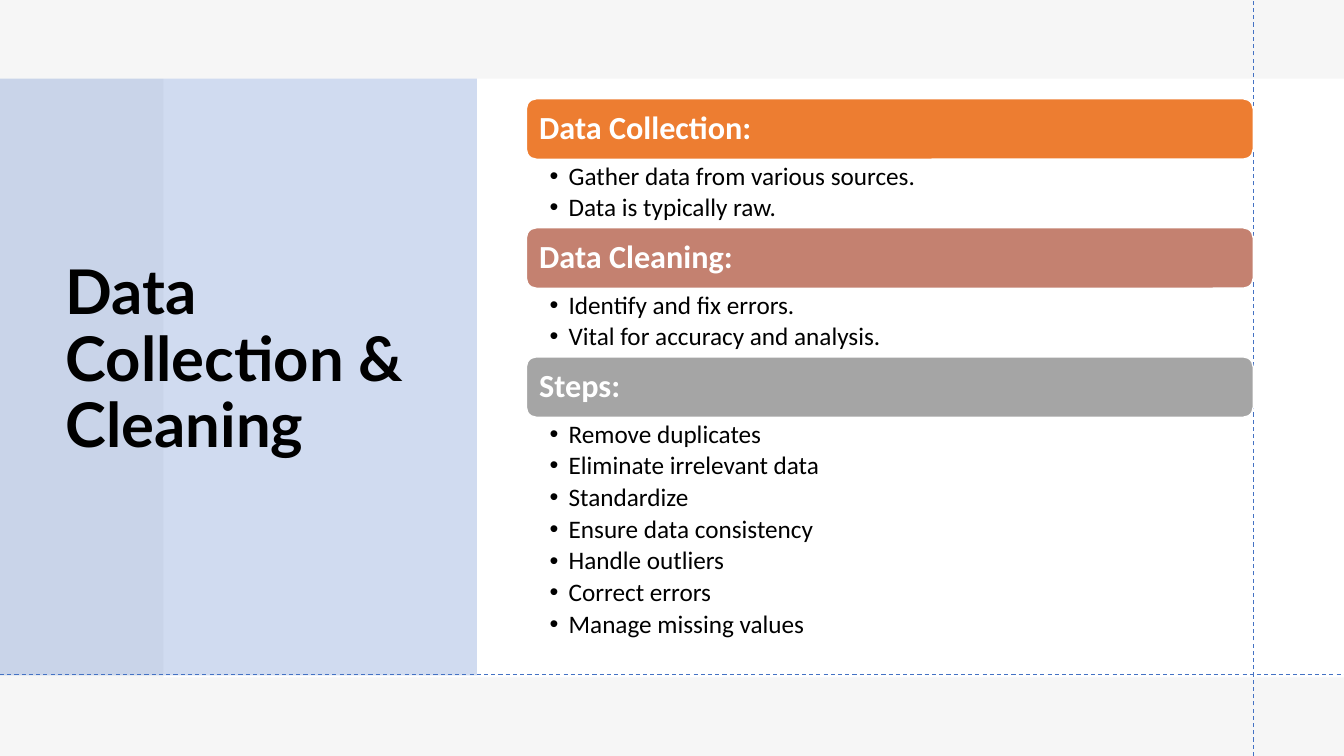
from pptx import Presentation
from pptx import util as u
from pptx.dml.color import RGBColor
from pptx.enum import dml, shapes, text
from pptx.oxml.ns import qn
from lxml import etree

# Content
TITLE = "Data Collection & Cleaning"
PARTS = [
    ("Data Collection:", "orange",
     ["Gather data from various sources.", "Data is typically raw."]),
    ("Data Cleaning:", "clay",
     ["Identify and fix errors.", "Vital for accuracy and analysis."]),
    ("Steps:", "gray",
     ["Remove duplicates", "Eliminate irrelevant data", "Standardize",
      "Ensure data consistency", "Handle outliers", "Correct errors",
      "Manage missing values"]),
]
HEX = {"white": "FFFFFF", "black": "000000", "mist": "E7E6E6",
       "back": "F6F6F6", "blue": "4472C4", "orange": "ED7D31",
       "clay": "C48170", "gray": "A5A5A5"}

# Measures in inches
WIDE, HIGH = 13.33, 7.5
LEFT, TOP, SPAN = 5.22, 0.98, 7.21
BAND, ROW, GAP = 0.6, 0.34, 0.01
RIGHT, BASE = LEFT + SPAN, 6.69

deck = Presentation()
deck.slide_width, deck.slide_height = u.Inches(WIDE), u.Inches(HIGH)
slide = deck.slides.add_slide(deck.slide_layouts[5])


def color(name):
    return RGBColor.from_string(HEX[name])


def place(*box):
    return [u.Inches(n) for n in box]


def block(kind, box, fill, alpha=None):
    shape = slide.shapes.add_shape(kind, *place(*box))
    shape.shadow.inherit = False
    shape.fill.solid()
    shape.fill.fore_color.rgb = color(fill)
    shape.line.fill.background()
    if alpha:
        tint = shape.element.spPr.find(qn("a:solidFill"))[0]
        etree.SubElement(tint, qn("a:alpha"), val=str(alpha * 1000))
    return shape


def frame(shape, pads, anchor):
    body = shape.text_frame
    body.word_wrap = True
    body.auto_size = text.MSO_AUTO_SIZE.NONE
    body.vertical_anchor = anchor
    (body.margin_left, body.margin_top,
     body.margin_right, body.margin_bottom) = place(*pads)
    return body


def write(para, words, size, font, ink, bold=False):
    para.alignment = text.PP_ALIGN.LEFT
    para.line_spacing = 0.9
    run = para.add_run()
    run.text = words
    run.font.size, run.font.name, run.font.bold = u.Pt(size), font, bold
    run.font.color.rgb = color(ink)


def bullet(para):
    props = para._p.get_or_add_pPr()
    props.set("marL", str(u.Inches(0.19)))
    props.set("indent", str(u.Inches(-0.19)))
    etree.SubElement(props, qn("a:buFont"), typeface="Arial")
    etree.SubElement(props, qn("a:buChar"), char="•")


def guide(*ends):
    line = slide.shapes.add_connector(
        shapes.MSO_CONNECTOR.STRAIGHT, *place(*ends))
    line.line.color.rgb = color("blue")
    line.line.width = u.Pt(0.75)
    line.line.dash_style = dml.MSO_LINE.DASH
    etree.SubElement(line.element.spPr, qn("a:effectLst"))


# Background and panels
slide.background.fill.solid()
slide.background.fill.fore_color.rgb = color("back")
RECT = shapes.MSO_SHAPE.RECTANGLE
for box, fill, alpha in [
    ((0, 0, WIDE, HIGH), "white", None),
    ((0, 0, WIDE, HIGH), "mist", 35),
    ((1.62, 0.78, WIDE - 1.62, 5.94), "white", None),
    ((0, 0.78, 4.73, 5.92), "blue", 25),
]:
    block(RECT, box, fill, alpha)

# Title, raised above the panels
title = slide.shapes.title
title.left, title.top, title.width, title.height = place(0.55, 0.74, 3.95, 5.69)
title.element.getparent().append(title.element)
body = frame(title, (0.1, 0.05, 0.1, 0.05), text.MSO_ANCHOR.MIDDLE)
write(body.paragraphs[0], TITLE, 44, "Lato", "black", True)

# Dashed guides
guide(RIGHT, HIGH, RIGHT, 0)
guide(0, BASE, WIDE, BASE)

# Headed lists, stacked
top = TOP
for head, fill, items in PARTS:
    band = block(shapes.MSO_SHAPE.ROUNDED_RECTANGLE,
                 (LEFT, top, SPAN, BAND), fill)
    band.line.color.rgb = color("white")
    band.line.width = u.Pt(1)
    body = frame(band, (0.1,) * 4, text.MSO_ANCHOR.MIDDLE)
    write(body.paragraphs[0], head, 23, "Calibri", "white", True)

    tall = ROW * len(items)
    area = slide.shapes.add_textbox(
        *place(LEFT, top + BAND + GAP, SPAN, tall))
    body = frame(area, (0.23, 0.03, 0.18, 0.03), text.MSO_ANCHOR.TOP)
    for i, item in enumerate(items):
        para = body.add_paragraph() if i else body.paragraphs[0]
        para.level = 1
        para.space_after = u.Pt(3.2)
        write(para, item, 18, "Calibri", "black")
        bullet(para)
    top += BAND + tall

deck.save("out.pptx")
